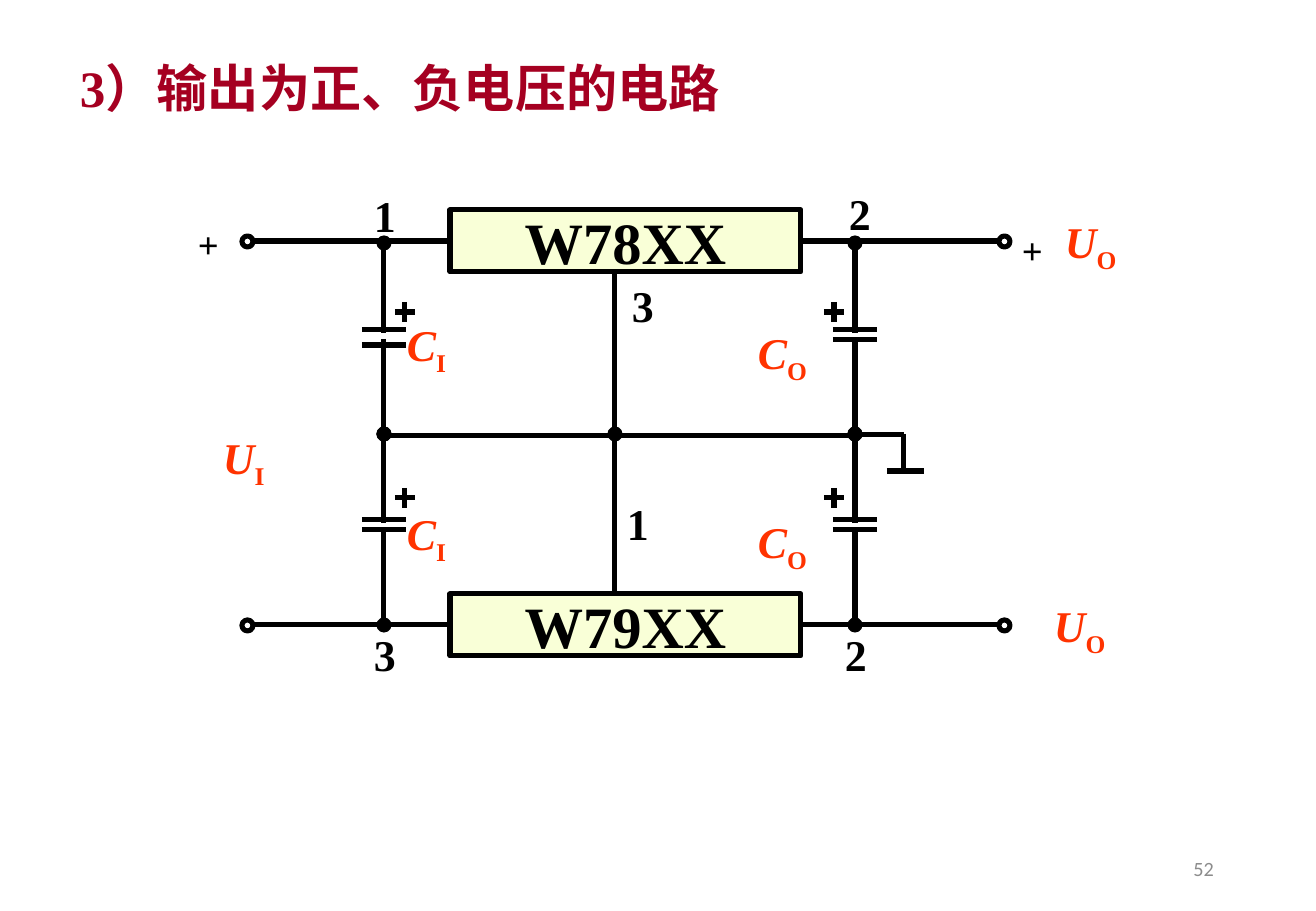
from dataclasses import dataclass

from lxml.etree import SubElement
from pptx import Presentation
from pptx.dml.color import RGBColor
from pptx.enum.shapes import MSO_CONNECTOR, MSO_SHAPE
from pptx.enum.text import MSO_ANCHOR, PP_ALIGN
from pptx.oxml.ns import qn
from pptx.util import Emu, Pt


@dataclass(frozen=True)
class Theme:
    """Colours, fonts and type sizes of the slide."""
    black: str = "000000"
    title: str = "A50021"
    symbol: str = "FF3300"
    chip: str = "F9FFD7"
    muted: str = "8C8C8C"
    serif: str = "Times New Roman"
    sans: str = "Calibri"
    title_size: float = 30.3
    chip_size: float = 34.7
    label_size: float = 26
    sign_size: float = 21.7
    number_size: float = 12
    stroke: float = 3


class CircuitPage:
    """Draws circuit elements on one slide, measured in px."""

    scale = 7526

    def __init__(self, deck, theme):
        """Set the deck size and add a blank page."""
        deck.slide_width, deck.slide_height = self.px(1316, 911)
        self.theme = theme
        self.page = deck.slides.add_slide(deck.slide_layouts[6])

    def px(self, *lengths):
        """Turn px into EMU."""
        return [Emu(length * self.scale) for length in lengths]

    def span(self, para, text, size, colour, bold=True, italic=False, font=None):
        """Add one run to a paragraph."""
        span = para.add_run()
        span.text = text
        span.font.name = font or self.theme.serif
        span.font.size = Pt(size)
        span.font.bold = bold
        span.font.italic = italic
        span.font.color.rgb = RGBColor.from_string(colour)
        return span

    def text_box(self, left, top, width, height):
        """Add a wrapping text box and return its frame."""
        box = self.page.shapes.add_textbox(*self.px(left, top, width, height))
        box.text_frame.word_wrap = True
        return box.text_frame

    def title(self, text, left, top, width, height, indent):
        """Add the heading with an indented first line."""
        para = self.text_box(left, top, width, height).paragraphs[0]
        para._p.get_or_add_pPr().set("indent", str(indent * self.scale))
        self.span(para, text, self.theme.title_size, self.theme.title)

    def label(self, text, left, top, size):
        """Add a short black label."""
        para = self.text_box(left, top, 47, 66).paragraphs[0]
        self.span(para, text, size, self.theme.black)

    def symbol(self, letter, index, left, top):
        """Add an italic quantity with a subscript."""
        para = self.text_box(left, top, 80, 66).paragraphs[0]
        size, colour = self.theme.label_size, self.theme.symbol
        self.span(para, letter, size, colour, italic=True)
        subscript = self.span(para, index, size, colour)
        subscript._r.get_or_add_rPr().set("baseline", "-25000")

    def page_number(self, text, left, top, width, height):
        """Add the right-aligned page number."""
        frame = self.text_box(left, top, width, height)
        frame.vertical_anchor = MSO_ANCHOR.MIDDLE
        para = frame.paragraphs[0]
        para.alignment = PP_ALIGN.RIGHT
        self.span(para, text, self.theme.number_size, self.theme.muted,
                  bold=False, font=self.theme.sans)

    def outline(self, shape):
        """Give a shape the circuit stroke and no shadow."""
        shape.shadow.inherit = False
        shape.line.color.rgb = RGBColor.from_string(self.theme.black)
        shape.line.width = Pt(self.theme.stroke)

    def chip(self, text, left, top, width, height):
        """Add a regulator block."""
        box = self.page.shapes.add_shape(
            MSO_SHAPE.RECTANGLE, *self.px(left, top, width, height))
        self.outline(box)
        box.fill.solid()
        box.fill.fore_color.rgb = RGBColor.from_string(self.theme.chip)
        frame = box.text_frame
        frame.word_wrap = False
        frame.vertical_anchor = MSO_ANCHOR.MIDDLE
        para = frame.paragraphs[0]
        para.alignment = PP_ALIGN.CENTER
        self.span(para, text, self.theme.chip_size, self.theme.black)
        return box

    def terminal(self, x, y):
        """Add an open terminal centred on a point."""
        ring = self.page.shapes.add_shape(
            MSO_SHAPE.OVAL, *self.px(x - 6, y - 5, 11, 11))
        self.outline(ring)
        ring.fill.background()

    def wire(self, x1, y1, x2, y2, dot=None):
        """Add a wire, with a junction dot at headEnd or tailEnd."""
        wire = self.page.shapes.add_connector(
            MSO_CONNECTOR.STRAIGHT, *self.px(x1, y1, x2, y2))
        wire.line.color.rgb = RGBColor.from_string(self.theme.black)
        wire.line.width = Pt(self.theme.stroke)
        if dot:
            SubElement(wire.line._get_or_add_ln(), qn(f"a:{dot}"), type="oval")
        SubElement(wire._element.spPr, qn("a:effectLst"))
        return wire

    def capacitor(self, x, top, plate, gap, bottom):
        """Add a capacitor branch between two junctions."""
        self.wire(x, top, x, plate + 3, "headEnd")
        self.wire(x, plate + 9, x, bottom, "tailEnd")
        for y in (plate, plate + gap):
            self.wire(x - 22, y, x + 22, y)

    def plus(self, x, y):
        """Add a polarity cross centred on a point."""
        self.wire(x - 10, y, x + 10, y)
        self.wire(x, y - 10, x, y + 10)


def main():
    """Build the dual-polarity regulator slide."""
    deck = Presentation()
    theme = Theme()
    circuit = CircuitPage(deck, theme)
    circuit.title("3）输出为正、负电压的电路", 55, 50, 686, 74, 13)

    left_x, centre_x, right_x = 384, 615, 855
    upper_y, middle_y, lower_y = 241, 434, 625
    for name, y in (("W78XX", upper_y), ("W79XX", lower_y)):
        chip = circuit.chip(name, 450, y - 31, 351, 62)
        circuit.wire(450, y, 253, y).begin_connect(chip, 1)
        circuit.wire(801, y, 999, y).begin_connect(chip, 3)
        for x in (248, 1005):
            circuit.terminal(x, y)

    for x, upper_gap in ((left_x, 15), (right_x, 10)):
        circuit.capacitor(x, upper_y + 2, 330, upper_gap, middle_y)
        circuit.capacitor(x, middle_y, 520, 10, lower_y)
    for x in (405, 834):
        for y in (312, 498):
            circuit.plus(x, y)

    circuit.wire(centre_x, 272, centre_x, middle_y, "tailEnd")
    for ends in ((centre_x, 439, centre_x, 594),
                 (left_x, 436, right_x, 436),
                 (857, 435, 904, 435),
                 (904, 434, 904, 471),
                 (887, 471, 924, 471)):
        circuit.wire(*ends)

    for letter, index, left, top in (
            ("C", "I", 395, 312), ("C", "I", 395, 501),
            ("C", "O", 746, 320), ("C", "O", 746, 509),
            ("U", "I", 211, 425),
            ("U", "O", 1053, 209), ("U", "O", 1042, 593)):
        circuit.symbol(letter, index, left, top)
    for text, left, top in (
            ("1", 362, 183), ("2", 837, 181), ("3", 620, 273),
            ("1", 615, 491), ("2", 833, 622), ("3", 362, 622)):
        circuit.label(text, left, top, theme.label_size)
    for left, top in ((186, 216), (1010, 222)):
        circuit.label("+", left, top, theme.sign_size)

    circuit.page_number("52", 930, 844, 296, 49)
    deck.save("out.pptx")


if __name__ == "__main__":
    main()
